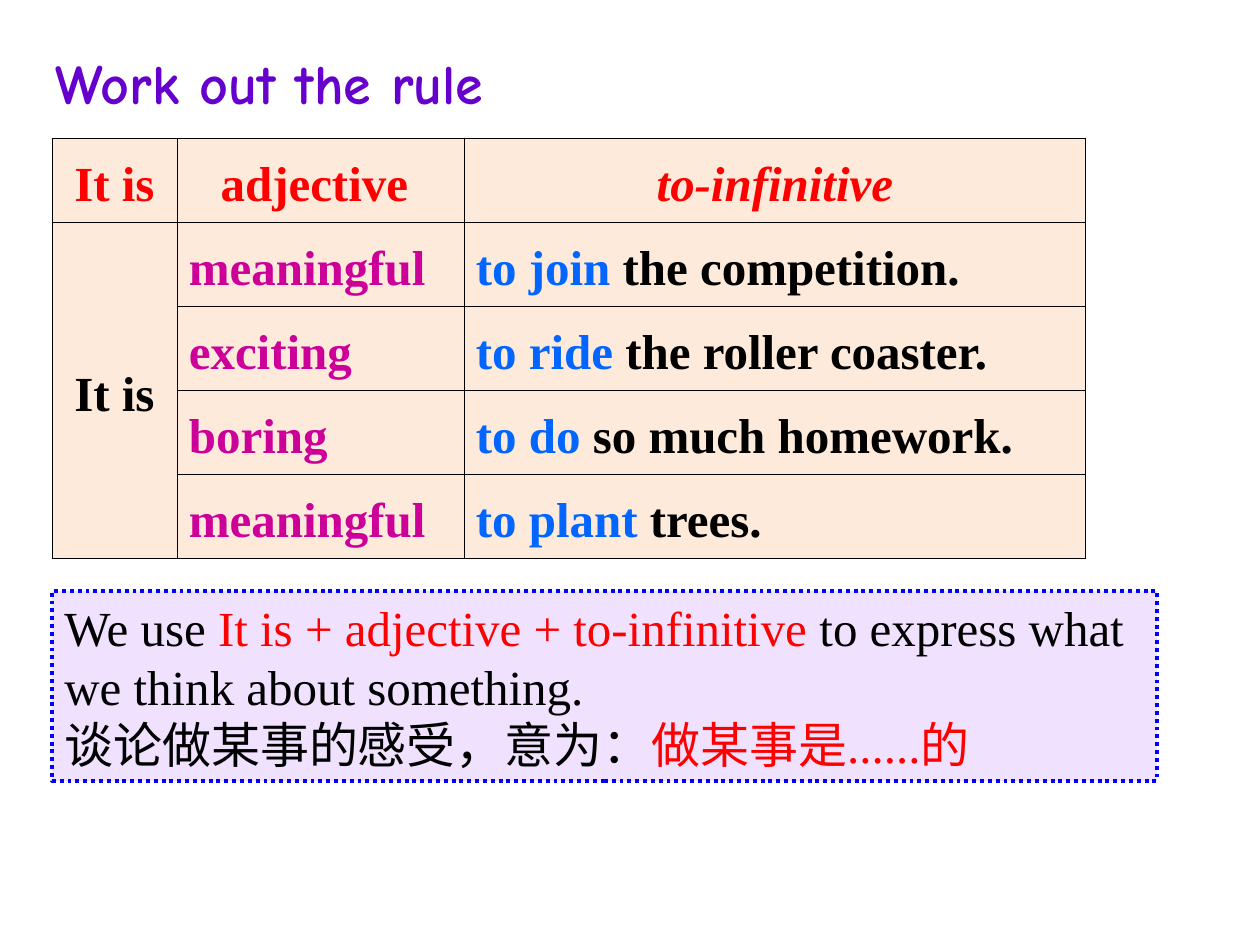
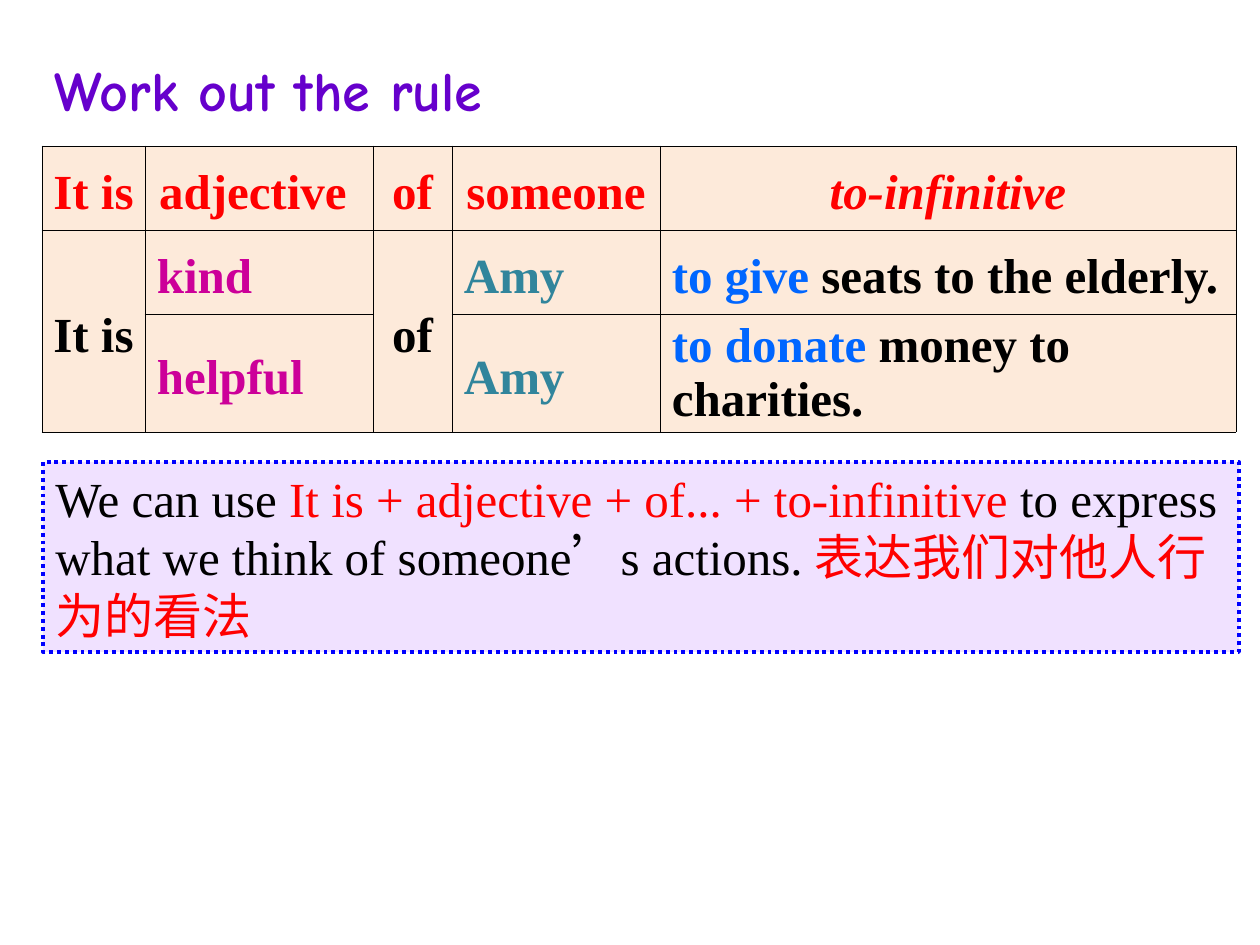
from dataclasses import dataclass

from lxml import etree
from pptx import Presentation
from pptx import util as u
from pptx.dml.color import RGBColor
from pptx.enum import dml, lang, shapes, text
from pptx.oxml.ns import qn

PX = u.Inches(1) / 126


@dataclass(frozen=True)
class Theme:
    title_font: str = "Comic Neue"
    body_font: str = "Times New Roman"
    title_size: int = 32
    body_size: int = 28
    title: str = "6600CC"
    key: str = "FF0000"
    plain: str = "000000"
    adjective: str = "CC0099"
    person: str = "31859C"
    verb: str = "0066FF"
    cell: str = "FDEADA"
    rule_fill: str = "CC99FF"
    rule_opacity: int = 29
    rule_line: str = "0000FF"


THEME = Theme()
TITLE = "Work out the rule"
TITLE_SIZE = (525, 81)
ROW_HEIGHT, TALL_ROW_HEIGHT = 84, 118
CELL_INDENT = 12

# Columns: heading, width, role. A "shared" column repeats its heading once
# down the whole body; an infinitive is its verb followed by the lines after it.
PAGES = [
    {
        "title_at": (43, 42),
        "table_at": (52, 138),
        "columns": [("It is", 125, "shared"), ("adjective ", 287, "adjective"),
                    ("to-infinitive", 622, "infinitive")],
        "examples": [
            {"adjective": "meaningful", "infinitive": ("to join ", "the competition.")},
            {"adjective": "exciting", "infinitive": ("to ride ", "the roller coaster.")},
            {"adjective": "boring", "infinitive": ("to do ", "so much homework.")},
            {"adjective": "meaningful", "infinitive": ("to plant ", "trees.")},
        ],
        "rule_box": (52, 591, 1105, 190),
        "rule": [
            [("We use ", "plain"), ("It is + adjective + to-infinitive ", "key"),
             ("to express what we think about something.", "plain")],
            [("谈论做某事的感受，意为：", "plain"), ("做某事是......的", "key")],
        ],
    },
    {
        "title_at": (42, 49),
        "table_at": (42, 146),
        "columns": [("It is", 103, "shared"), ("adjective ", 228, "adjective"),
                    ("of", 79, "shared"), ("someone", 208, "person"),
                    ("to-infinitive", 576, "infinitive")],
        "examples": [
            {"adjective": "kind", "person": "Amy",
             "infinitive": ("to give ", "seats to the elderly.")},
            {"adjective": "helpful", "person": "Amy",
             "infinitive": ("to donate ", "money to", "charities.")},
        ],
        "rule_box": (43, 462, 1196, 190),
        "rule": [
            [("We can use ", "plain"),
             ("It is + adjective + of... + to-infinitive ", "key"),
             ("to express what we think of someone", "plain"), ("’", "plain"),
             ("s actions. ", "plain"), ("表达我们对他人行为的看法", "key")],
        ],
    },
]


def px(*lengths):
    return [u.Emu(round(length * PX)) for length in lengths]


def colour(role):
    return RGBColor.from_string(getattr(THEME, role))


def add_run(paragraph, words, role, size=THEME.body_size, face=THEME.body_font,
            bold=False, italic=False):
    run = paragraph.add_run()
    run.text = words
    font = run.font
    font.name, font.size, font.bold, font.italic = face, u.Pt(size), bold, italic
    font.color.rgb = colour(role)
    if any(ord(letter) > 0x2000 for letter in words):
        font.language_id = lang.MSO_LANGUAGE_ID.SIMPLIFIED_CHINESE
        ea = etree.SubElement(font.color._xFill.getparent().getparent(), qn("a:ea"))
        ea.set("typeface", face)


def write_lines(frame, lines, **style):
    """Fill a text frame with lines, each a list of (words, colour role)."""
    for index, line in enumerate(lines):
        paragraph = frame.add_paragraph() if index else frame.paragraphs[0]
        for words, role in line:
            add_run(paragraph, words, role, **style)


def add_title(slide, at):
    frame = slide.shapes.add_textbox(*px(*at, *TITLE_SIZE)).text_frame
    frame.word_wrap = False
    frame.auto_size = text.MSO_AUTO_SIZE.SHAPE_TO_FIT_TEXT
    write_lines(frame, [[(TITLE, "title")]], size=THEME.title_size,
                face=THEME.title_font, bold=True)


def border_cell(cell):
    properties = cell._tc.get_or_add_tcPr()
    for side in ("lnL", "lnR", "lnT", "lnB"):
        line = etree.SubElement(properties, qn(f"a:{side}"), w=str(u.Pt(0.5)))
        fill = etree.SubElement(line, qn("a:solidFill"))
        etree.SubElement(fill, qn("a:srgbClr"), val=THEME.plain)


def fill_cell(cell, lines, centred, italic=False):
    cell.vertical_anchor = text.MSO_ANCHOR.MIDDLE
    cell.margin_top = cell.margin_bottom = cell.margin_right = 0
    cell.margin_left = 0 if centred else px(CELL_INDENT)[0]
    write_lines(cell.text_frame, lines, bold=True, italic=italic)
    for paragraph in cell.text_frame.paragraphs:
        paragraph.line_spacing = 1.2 if len(lines) == 1 else 1.0
        paragraph.alignment = text.PP_ALIGN.CENTER if centred else text.PP_ALIGN.LEFT


def example_lines(role, example):
    if role != "infinitive":
        return [[(example[role], role)]]
    verb, first, *others = example[role]
    return [[(verb, "verb"), (first, "plain")]] + [[(line, "plain")] for line in others]


def add_pattern_table(slide, page):
    columns, examples = page["columns"], page["examples"]
    widths = [width for _, width, _ in columns]
    heights = [ROW_HEIGHT] + [
        TALL_ROW_HEIGHT if len(example["infinitive"]) > 2 else ROW_HEIGHT
        for example in examples]
    table = slide.shapes.add_table(
        len(heights), len(widths),
        *px(*page["table_at"], sum(widths), sum(heights))).table
    table.first_row = table.horz_banding = False
    for row, height in zip(table.rows, px(*heights)):
        row.height = height
    for cell in table.iter_cells():
        border_cell(cell)
        cell.fill.solid()
        cell.fill.fore_color.rgb = colour("cell")
    for c, (heading, width, role) in enumerate(columns):
        table.columns[c].width = px(width)[0]
        fill_cell(table.cell(0, c), [[(heading, "key")]], True, role == "infinitive")
        if role == "shared":
            table.cell(1, c).merge(table.cell(len(examples), c))
            fill_cell(table.cell(1, c), [[(heading, "plain")]], True)
            continue
        for r, example in enumerate(examples, 1):
            fill_cell(table.cell(r, c), example_lines(role, example), False)


def add_rule(slide, page):
    box = slide.shapes.add_shape(shapes.MSO_SHAPE.RECTANGLE, *px(*page["rule_box"]))
    box.shadow.inherit = False
    box.fill.solid()
    box.fill.fore_color.rgb = colour("rule_fill")
    tint = box.fill._xPr.find(qn("a:solidFill"))[0]
    etree.SubElement(tint, qn("a:alpha"), val=str(THEME.rule_opacity * 1000))
    box.line.color.rgb = colour("rule_line")
    box.line.width = u.Pt(2.25)
    box.line.dash_style = dml.MSO_LINE.ROUND_DOT
    frame = box.text_frame
    frame.word_wrap = True
    frame.auto_size = text.MSO_AUTO_SIZE.SHAPE_TO_FIT_TEXT
    frame.vertical_anchor = text.MSO_ANCHOR.TOP
    write_lines(frame, page["rule"])
    for paragraph in frame.paragraphs:
        paragraph.alignment = text.PP_ALIGN.LEFT


def main():
    deck = Presentation()
    deck.slide_width, deck.slide_height = u.Inches(10), u.Inches(7.5)
    for page in PAGES:
        slide = deck.slides.add_slide(deck.slide_layouts[6])
        add_title(slide, page["title_at"])
        add_pattern_table(slide, page)
        add_rule(slide, page)
    deck.save("out.pptx")


if __name__ == "__main__":
    main()
